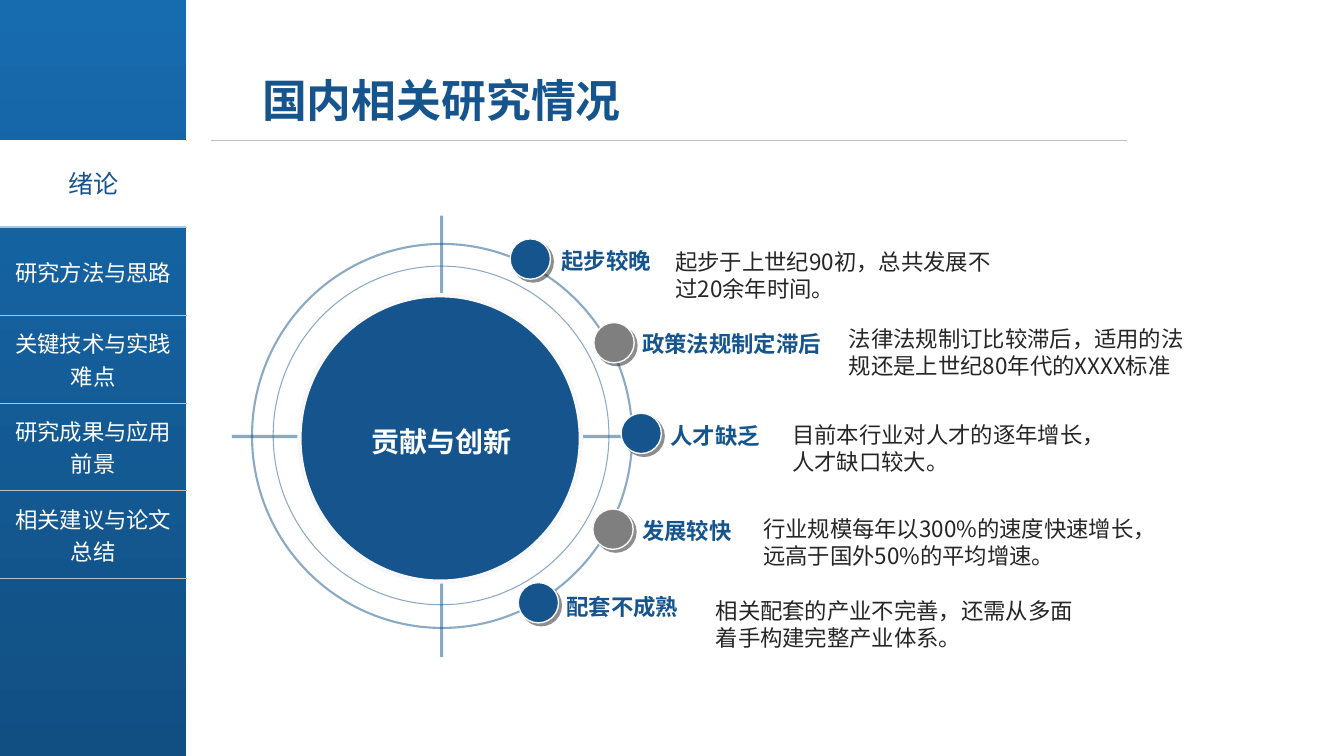
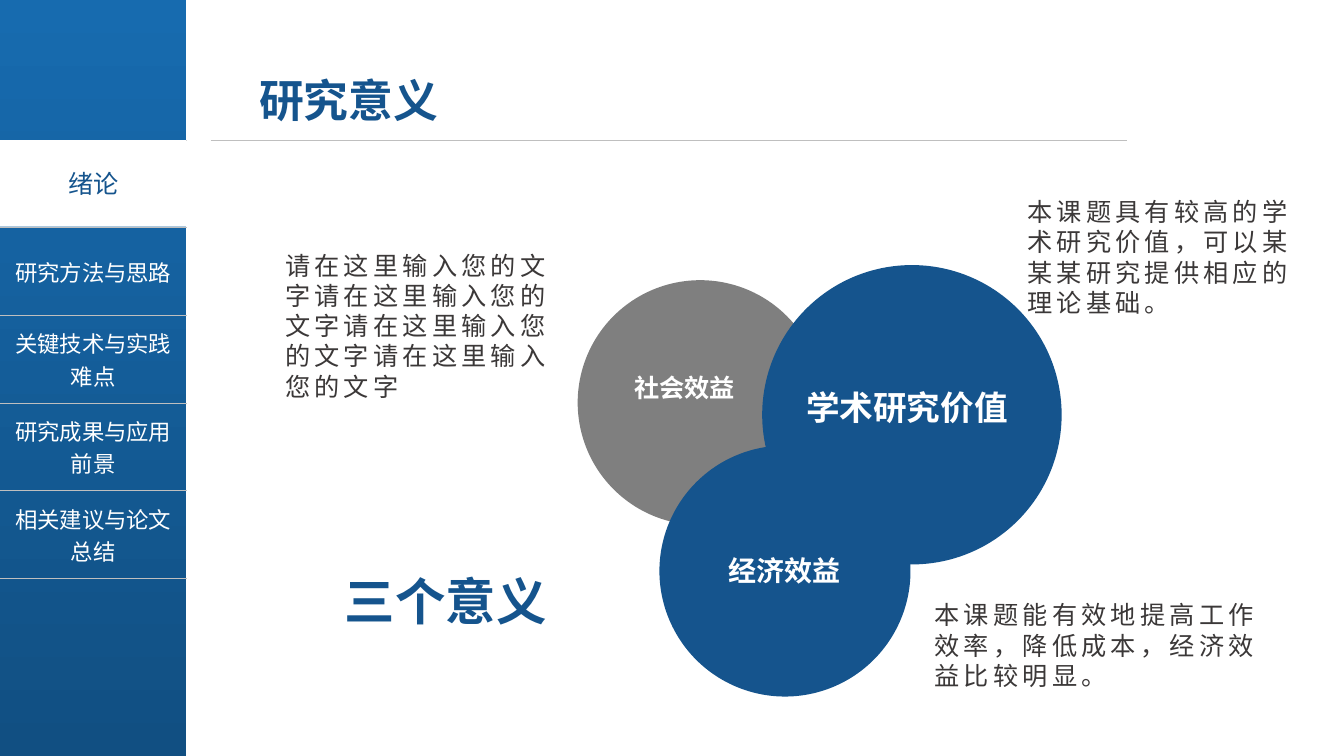
import pptx
import pptx.dml.color
import pptx.enum.shapes
import pptx.enum.text
import pptx.oxml
import pptx.oxml.ns
import pptx.util

Inches = pptx.util.Inches
Pt = pptx.util.Pt
ALIGN = pptx.enum.text.PP_ALIGN
ANCHOR = pptx.enum.text.MSO_ANCHOR
SHAPE = pptx.enum.shapes.MSO_SHAPE

COLORS = {
    "blue": "15548D",
    "bar_top": "176BAF",
    "bar_bottom": "114F82",
    "gray": "7F7F7F",
    "rule": "BFBFBF",
    "edge": "F8F8F8",
    "shadow": "1C1C1C",
    "white": "FFFFFF",
    "ink": "262626",
    "soft_ink": "3B3838",
}
FONT = "Noto Sans CJK SC"
BAR_WIDTH = 1.85
NAV_TOP, NAV_ROW = 1.39, 0.87
CHAPTERS = ["绪论", "研究方法与思路", "关键技术与实践难点",
            "研究成果与应用前景", "相关建议与论文总结"]


def rgb(name):
    return pptx.dml.color.RGBColor.from_string(COLORS[name])


def sub(parent, tag, **attrs):
    """Append a new XML child and return it."""
    el = parent.makeelement(pptx.oxml.ns.qn(tag), attrs)
    parent.append(el)
    return el


class Deck:
    def __init__(self):
        self.prs = pptx.Presentation()
        self.prs.slide_width = Inches(13.33)
        self.prs.slide_height = Inches(7.5)
        self.slide = None

    def new_slide(self, title, left):
        """Start a slide with its title, rule and chapter bar."""
        self.slide = self.prs.slides.add_slide(self.prs.slide_layouts[5])
        sp = self.slide.shapes.title
        sp.left, sp.top = Inches(left), Inches(0.72)
        sp.width, sp.height = Inches(3.99), Inches(0.54)
        self.set_text(sp.text_frame, title, 32, "blue", bold=True, margins=(0, 0))
        self.chapter_bar()
        self.line((2.09, NAV_TOP), (11.18, NAV_TOP), "rule", 0.5)

    def set_text(self, tf, text, size, color, bold=False, align=ALIGN.LEFT,
                 anchor=ANCHOR.MIDDLE, margins=(0.1, 0.05), wrap=True,
                 leading=None, tracking=0, font=FONT):
        tf.word_wrap = wrap
        tf.auto_size = pptx.enum.text.MSO_AUTO_SIZE.NONE
        tf.vertical_anchor = anchor
        tf.margin_left = tf.margin_right = Inches(margins[0])
        tf.margin_top = tf.margin_bottom = Inches(margins[1])
        p = tf.paragraphs[0]
        r = self.add_run(p, text, size, color, bold, align, font)
        if leading:
            p.line_spacing = Pt(leading)
        if tracking:
            r.font._element.set("spc", str(tracking * 100))

    def add_run(self, p, text, size, color, bold=False, align=ALIGN.CENTER, font=FONT):
        p.alignment = align
        r = p.add_run()
        r.text = text
        r.font.size, r.font.bold, r.font.name = Pt(size), bold, font
        r.font.color.rgb = rgb(color)
        sub(r.font._element, "a:ea", typeface=FONT)
        return r

    def text(self, box, text, size, color, **style):
        sp = self.slide.shapes.add_textbox(*map(Inches, box))
        self.set_text(sp.text_frame, text, size, color, **style)

    def body(self, box, text, size, color, tracking=0):
        self.text(box, text, size, color, anchor=ANCHOR.TOP,
                  leading=size * 1.2, tracking=tracking)

    def shape(self, kind, box, fill=None, line=None, line_width=1, alpha=None):
        sp = self.slide.shapes.add_shape(kind, *map(Inches, box))
        sp.shadow.inherit = False
        if fill:
            sp.fill.solid()
            sp.fill.fore_color.rgb = rgb(fill)
        else:
            sp.fill.background()
        if line:
            self.stroke(sp, line, line_width, alpha)
        else:
            sp.line.fill.background()
        return sp

    def ellipse(self, box, fill=None, **style):
        return self.shape(SHAPE.OVAL, box, fill, **style)

    def stroke(self, sp, color, width, alpha=None):
        sp.line.width = Pt(width)
        sp.line.color.rgb = rgb(color)
        if alpha:
            clr = sp._element.spPr.xpath("a:ln//a:srgbClr")[0]
            sub(clr, "a:alpha", val=str(alpha * 1000))

    def line(self, start, end, color, width, alpha=None):
        cx = self.slide.shapes.add_connector(
            pptx.enum.shapes.MSO_CONNECTOR.STRAIGHT, *map(Inches, start + end))
        self.stroke(cx, color, width, alpha)
        sub(cx._element.spPr, "a:effectLst")

    def dot(self, left, top, color):
        """Bullet circle with a hard shadow to the lower right."""
        sp = self.ellipse((left, top, 0.4, 0.4), color, line="edge")
        effects = sp._element.spPr.find(pptx.oxml.ns.qn("a:effectLst"))
        shadow = sub(effects, "a:outerShdw", blurRad="0", dist=str(int(Pt(2.8))),
                     dir="2700000", algn="ctr", rotWithShape="0")
        clr = sub(shadow, "a:srgbClr", val=COLORS["shadow"])
        sub(clr, "a:alpha", val="50000")

    def chapter_bar(self):
        bar = self.shape(SHAPE.RECTANGLE, (0, 0, BAR_WIDTH, 7.5))
        bar.fill.gradient()
        bar.fill.gradient_angle = 270
        for stop, position, color in zip(bar.fill.gradient_stops, (0, 1),
                                         ("bar_top", "bar_bottom")):
            stop.position = position
            stop.color.rgb = rgb(color)

        frame = self.slide.shapes.add_table(
            len(CHAPTERS), 1, 0, Inches(NAV_TOP), Inches(BAR_WIDTH),
            Inches(NAV_ROW * len(CHAPTERS)))
        table = frame.table
        table.first_row = table.horz_banding = False
        for i, chapter in enumerate(CHAPTERS):
            table.rows[i].height = Inches(NAV_ROW)
            cell = table.cell(i, 0)
            cell.vertical_anchor = ANCHOR.MIDDLE
            self.borders(cell)
            cell.fill.background()
            if i:
                self.add_run(cell.text_frame.paragraphs[0], chapter, 16, "white")

        current = self.shape(SHAPE.RECTANGLE, (0, NAV_TOP, BAR_WIDTH, 0.86), "white")
        self.set_text(current.text_frame, CHAPTERS[0], 18, "blue", align=ALIGN.CENTER)

    def borders(self, cell):
        """Rule above and below the cell, nothing at the sides."""
        tc_pr = cell._tc.get_or_add_tcPr()
        for side in "LRTB":
            ln = sub(tc_pr, "a:ln" + side, w=str(int(Pt(1))))
            if side in "LR":
                sub(ln, "a:noFill")
            else:
                sub(sub(ln, "a:solidFill"), "a:srgbClr", val=COLORS["rule"])


def domestic_research(deck):
    deck.new_slide("国内相关研究情况", 2.6)
    deck.line((2.3, 4.33), (6.46, 4.33), "blue", 2.25, alpha=50)
    deck.line((4.38, 2.14), (4.38, 6.52), "blue", 2.25, alpha=50)
    deck.ellipse((2.71, 2.64, 3.33, 3.36), line="blue", line_width=0.75, alpha=50)
    deck.ellipse((2.5, 2.42, 3.77, 3.81), line="blue", line_width=1.5, alpha=50)
    deck.ellipse((2.97, 2.93, 2.79, 2.84), "blue", line="edge", line_width=3)
    core = deck.ellipse((3.56, 3.54, 1.64, 1.67), "blue")
    deck.set_text(core.text_frame, "贡献与创新", 20, "white", bold=True,
                  align=ALIGN.CENTER, wrap=False, font="Arial")

    # dot, heading position, heading, body box, body
    findings = [
        ((5.06, 2.37), (5.49, 2.41), "起步较晚", (6.6, 2.41, 3.43, 0.64),
         "起步于上世纪90初，总共发展不过20余年时间。"),
        ((5.89, 3.2), (6.29, 3.23), "政策法规制定滞后", (8.32, 3.18, 3.58, 0.64),
         "法律法规制订比较滞后，适用的法规还是上世纪80年代的XXXX标准"),
        ((6.16, 4.1), (6.57, 4.15), "人才缺乏", (7.76, 4.13, 3.43, 0.64),
         "目前本行业对人才的逐年增长，人才缺口较大。"),
        ((5.88, 5.05), (6.29, 5.09), "发展较快", (7.47, 5.06, 4.07, 0.64),
         "行业规模每年以300%的速度快速增长，远高于国外50%的平均增速。"),
        ((5.14, 5.78), (5.54, 5.84), "配套不成熟", (7, 5.88, 3.82, 0.64),
         "相关配套的产业不完善，还需从多面着手构建完整产业体系。"),
    ]
    for i, (dot, at, heading, box, detail) in enumerate(findings):
        deck.dot(*dot, "gray" if i % 2 else "blue")
        deck.text(at + (2.44, 0.35), heading, 16, "blue", bold=True,
                  margins=(0.08, 0.04))
        deck.body(box, detail, 16, "ink")


def significance(deck):
    deck.new_slide("研究意义", 2.57)
    for left, top, size, color in [(5.73, 2.78, 2.43, "gray"),
                                   (7.56, 2.63, 2.97, "blue"),
                                   (6.54, 4.42, 2.49, "blue")]:
        deck.ellipse((left, top, size, size), color)
    for box, label, size, color in [
            ((3.04, 5.6, 2.76, 0.71), "三个意义", 36, "blue"),
            ((6.57, 5.44, 2.43, 0.44), "经济效益", 20, "white"),
            ((5.69, 3.64, 2.2, 0.4), "社会效益", 18, "white"),
            ((7.51, 3.79, 2.97, 0.5), "学术研究价值", 24, "white")]:
        deck.text(box, label, size, color, bold=True, align=ALIGN.CENTER)
    for box, detail in [
            ((10.09, 1.9, 2.87, 1.31),
             "本课题具有较高的学术研究价值，可以某某某研究提供相应的理论基础。"),
            ((9.17, 5.9, 3.52, 1.01),
             "本课题能有效地提高工作效率，降低成本，经济效益比较明显。"),
            ((2.73, 2.43, 2.97, 1.61), "请在这里输入您的文字" * 4)]:
        deck.body(box, detail, 18, "soft_ink", tracking=3)


def main():
    deck = Deck()
    domestic_research(deck)
    significance(deck)
    deck.prs.save("out.pptx")


if __name__ == "__main__":
    main()
